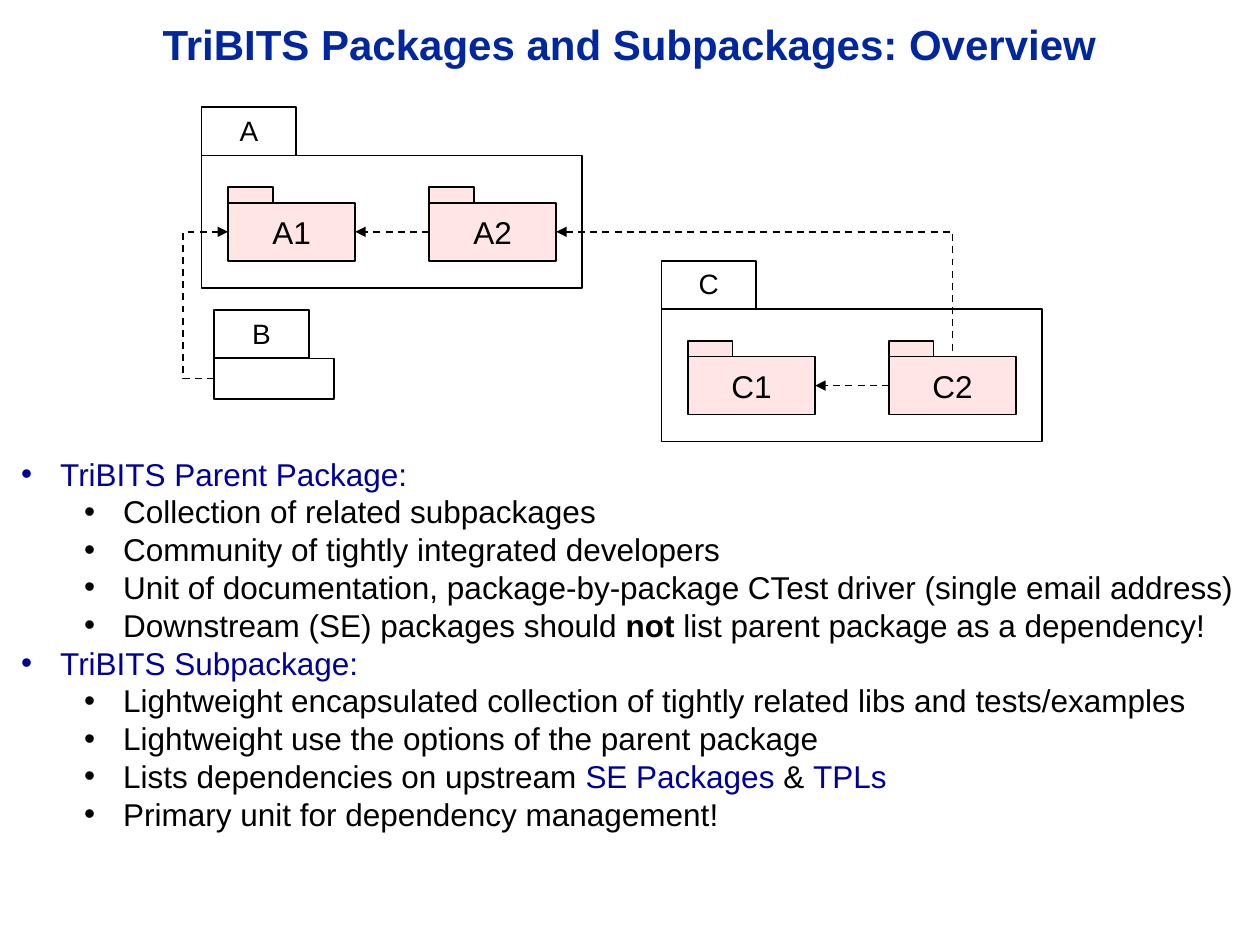
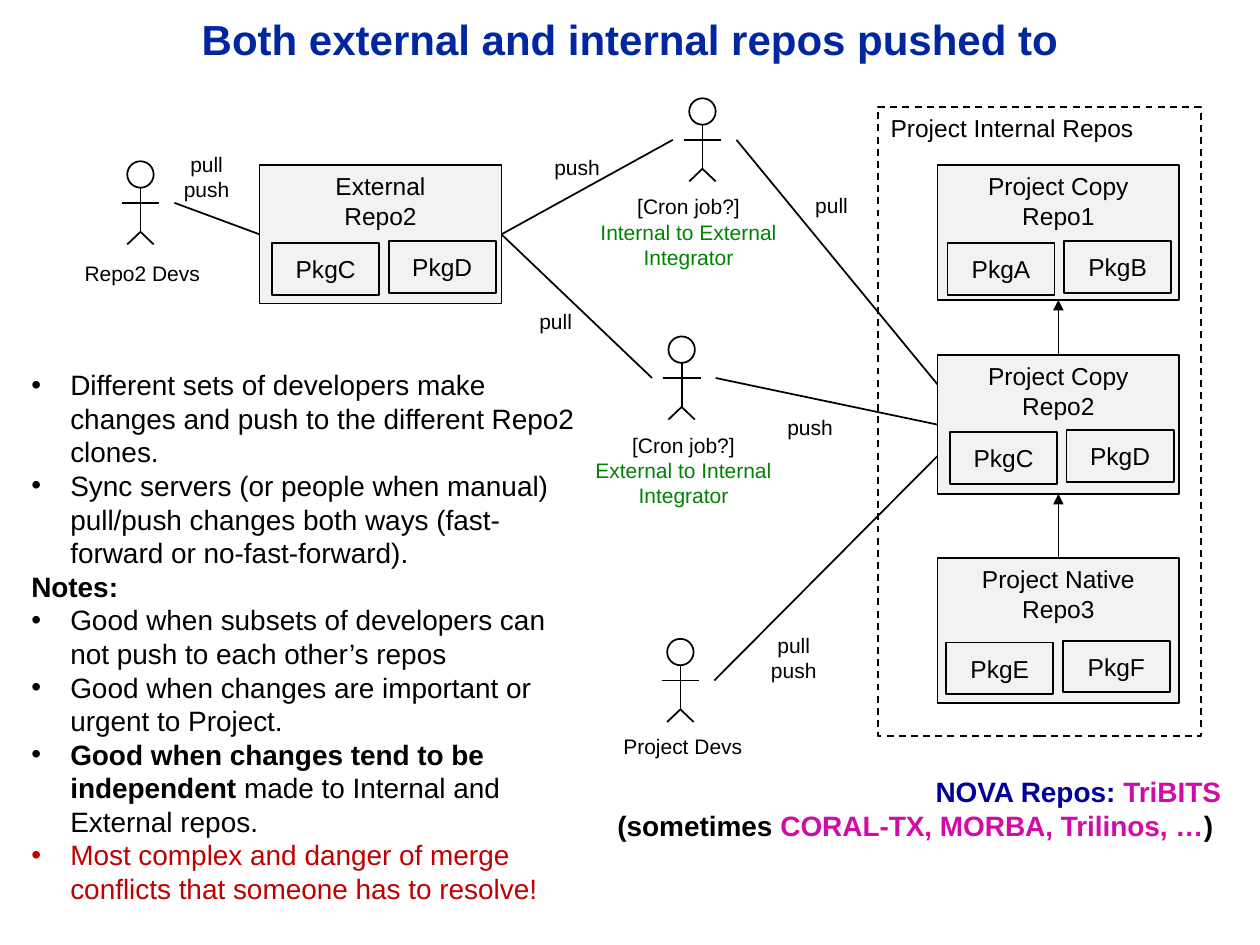
from lxml.etree import SubElement
from pptx import Presentation
from pptx.dml.color import RGBColor
from pptx.enum.dml import MSO_LINE
from pptx.enum.shapes import MSO_CONNECTOR, MSO_SHAPE
from pptx.enum.text import MSO_ANCHOR, MSO_AUTO_SIZE, PP_ALIGN
from pptx.oxml.ns import qn
from pptx.util import Inches, Pt

SLIDE_WIDTH, SLIDE_HEIGHT = Inches(10), Inches(7.5)
COLUMNS, ROWS = 100, 75
FONT = "Arial"
COLORS = {
    "title": "00279F",
    "ink": "000000",
    "term": "000099",
    "role": "008200",
    "warning": "C00000",
    "repo name": "D30AA5",
    "subpackage": "FFE5E5",
    "repo": "F2F2F2",
}
TOP, LEFT, BOTTOM, RIGHT = range(4)
ACTOR_LEFT, ACTOR_RIGHT, ACTOR_ARMS = -2.35, 2.7, 3.3


def across(columns):
    return round(SLIDE_WIDTH * columns / COLUMNS)


def down(rows):
    return round(SLIDE_HEIGHT * rows / ROWS)


def grid_box(left, top, width, height):
    return across(left), down(top), across(width), down(height)


def rgb(name):
    return RGBColor.from_string(COLORS[name])


def write(frame, paragraphs, size, align=PP_ALIGN.CENTER, anchor=MSO_ANCHOR.TOP, wrap=True):
    """Fill a frame; a paragraph is a string or a list of (text, format) spans."""
    settings = {"auto_size": MSO_AUTO_SIZE.NONE, "word_wrap": wrap, "vertical_anchor": anchor}
    for name, value in settings.items():
        setattr(frame, name, value)
    for number, spans in enumerate(paragraphs):
        para = frame.paragraphs[0] if number == 0 else frame.add_paragraph()
        para.alignment = align
        for text, changes in [(spans, {})] if isinstance(spans, str) else spans:
            span = para.add_run()
            span.text = text
            look = {"name": FONT, "size": Pt(size), "bold": False, "color": "ink"} | changes
            span.font.color.rgb = rgb(look.pop("color"))
            for name, value in look.items():
                setattr(span.font, name, value)


def indent(para, margin, hanging=0.31, bullet=True):
    properties = para._p.get_or_add_pPr()
    properties.set("marL", str(Inches(margin)))
    properties.set("indent", str(-Inches(hanging) if bullet else 0))
    if bullet:
        SubElement(properties, qn("a:buFont")).set("typeface", FONT)
        SubElement(properties, qn("a:buChar")).set("char", "•")


def add_text(page, area, paragraphs, size=12, align=PP_ALIGN.CENTER):
    box = page.shapes.add_textbox(*grid_box(*area))
    write(box.text_frame, paragraphs, size, align)
    return box.text_frame


def add_outlined(shapes, area, fill=None, preset=MSO_SHAPE.RECTANGLE, dashed=False):
    shape = shapes.add_shape(preset, *grid_box(*area))
    shape.shadow.inherit = False
    if fill:
        shape.fill.solid()
        shape.fill.fore_color.rgb = rgb(fill)
    else:
        shape.fill.background()
    style_line(shape, dashed)
    return shape


def style_line(shape, dashed=False):
    shape.line.color.rgb = rgb("ink")
    shape.line.width = Pt(1)
    if dashed:
        shape.line.dash_style = MSO_LINE.DASH


def add_line(shapes, start, end, kind=MSO_CONNECTOR.STRAIGHT, dashed=False, arrow=None):
    """Join two ends, each a grid point or a (shape, side) pair; arrow is headEnd or tailEnd."""
    ends = [(0, 0) if hasattr(end_, "__len__") and hasattr(end_[0], "shape_id") else end_
            for end_ in (start, end)]
    (x1, y1), (x2, y2) = ends
    line = shapes.add_connector(kind, across(x1), down(y1), across(x2), down(y2))
    if hasattr(start[0], "shape_id"):
        line.begin_connect(*start)
    if hasattr(end[0], "shape_id"):
        line.end_connect(*end)
    style_line(line, dashed)
    properties = line.element.spPr
    if arrow:
        SubElement(properties.find(qn("a:ln")), qn(f"a:{arrow}")).set("type", "triangle")
    SubElement(properties, qn("a:effectLst"))
    return line


def add_page(deck, title, area):
    page = deck.slides.add_slide(deck.slide_layouts[5])
    heading = page.shapes.title
    heading.left, heading.top, heading.width, heading.height = grid_box(*area)
    write(heading.text_frame, [[(title, {"bold": True, "color": "title"})]], 24,
          anchor=MSO_ANCHOR.MIDDLE)
    return page


def add_package(page, name, left, top, width=30.2, height=10.5):
    body = add_outlined(page.shapes, (left, top + 3.85, width, height))
    tab = add_outlined(page.shapes, (left, top, 7.5, 3.85))
    write(tab.text_frame, [name], 16)
    return body


def add_subpackages(page, names, left, top):
    """Place folders in a row inside a package, each depending on the one before."""
    folders = []
    for number, name in enumerate(names):
        x, y = left + 2.1 + 15.95 * number, top + 7.6
        group = page.shapes.add_group_shape()
        folder = add_outlined(group.shapes, (x, y, 10.1, 4.6), "subpackage")
        write(folder.text_frame, [name], 18, anchor=MSO_ANCHOR.MIDDLE, wrap=False)
        add_outlined(group.shapes, (x, y - 1.25, 3.55, 1.25), "subpackage")
        if folders:
            add_line(page.shapes, (folder, LEFT), (folders[-1], RIGHT),
                     dashed=True, arrow="tailEnd")
        folders.append(folder)
    return folders


def add_repo(page, title, left, top, height, packages, package_offset):
    repo = add_outlined(page.shapes, (left, top, 19.2, height), "repo")
    write(repo.text_frame, title, 14)
    for number, name in enumerate(packages):
        x = left + package_offset[0] + 9.25 * number
        y = top + package_offset[1] - 0.15 * number
        package = add_outlined(page.shapes, (x, y, 8.5, 4.1), "repo")
        write(package.text_frame, [name], 14, anchor=MSO_ANCHOR.MIDDLE)
    return repo


def add_actor(page, center, top):
    """Draw a stick figure and return the points where links leave its left and right."""
    shapes = page.shapes.add_group_shape().shapes
    add_outlined(shapes, (center - 1.05, top, 2.1, 2.1), preset=MSO_SHAPE.OVAL)
    hip, arms = (center, top + 5.6), top + ACTOR_ARMS
    add_line(shapes, (center, top + 2.1), hip)
    add_line(shapes, (center - 1.5, arms), (center + 1.5, arms))
    for side in (-1, 1):
        add_line(shapes, hip, (center + side * 1.05, top + 6.6))
    return (center + ACTOR_LEFT, arms), (center + ACTOR_RIGHT, arms)


def build_overview(deck):
    page = add_page(deck, "TriBITS Packages and Subpackages: Overview", (2.5, 1.4, 94.9, 4.2))
    add_package(page, "A", 16, 8.5)
    a1, a2 = add_subpackages(page, ["A1", "A2"], 16, 8.5)
    b = add_package(page, "B", 17, 24.6, 9.5, 3.2)
    add_package(page, "C", 52.5, 20.7)
    c1, c2 = add_subpackages(page, ["C1", "C2"], 52.5, 20.7)

    b_link = add_line(page.shapes, (b, LEFT), (a1, LEFT), MSO_CONNECTOR.ELBOW, True, "tailEnd")
    geometry = b_link.element.spPr.find(qn("a:prstGeom"))
    guide = SubElement(geometry.find(qn("a:avLst")), qn("a:gd"))
    guide.set("name", "adj1")
    guide.set("fmla", "val -225000")

    c_link = add_line(page.shapes, (a2, RIGHT), (c2, TOP), MSO_CONNECTOR.ELBOW, True, "headEnd")
    c_link.element.spPr.find(qn("a:prstGeom")).set("prst", "bentConnector2")

    term = {"color": "term"}
    outline = [
        (0, [("TriBITS Parent Package:", term)]),
        (1, "Collection of related subpackages"),
        (1, "Community of tightly integrated developers"),
        (1, "Unit of documentation, package-by-package CTest driver (single email address)"),
        (1, [("Downstream (SE) packages should ", {}), ("not", {"bold": True}),
             (" list parent package as a dependency!", {})]),
        (0, [("TriBITS Subpackage:", term)]),
        (1, "Lightweight encapsulated collection of tightly related libs and tests/examples"),
        (1, "Lightweight use the options of the parent package"),
        (1, [("Lists dependencies on upstream ", {}), ("SE Packages ", term),
             ("& ", {}), ("TPLs", term)]),
        (1, "Primary unit for dependency management!"),
    ]
    frame = add_text(page, (0, 35.6, 100, 31.3), [spans for _, spans in outline], 18,
                     PP_ALIGN.LEFT)
    for para, (level, _) in zip(frame.paragraphs, outline):
        para.level = level
        indent(para, 0.38 + 0.5 * level)


def build_repos(deck):
    page = add_page(deck, "Both external and internal repos pushed to", (7.5, 1, 85, 4.2))
    external = add_repo(page, ["External", "Repo2"], 20.6, 13.1, 11, ["PkgC", "PkgD"], (1, 6.2))
    repo1 = add_repo(page, ["Project Copy", "Repo1"], 74.4, 13.1, 10.7, ["PkgA", "PkgB"], (0.8, 6.2))
    repo2 = add_repo(page, ["Project Copy", "Repo2"], 74.4, 28.2, 11, ["PkgC", "PkgD"], (1, 6.1))
    repo3 = add_repo(page, ["Project Native", "Repo3"], 74.4, 44.3, 11.5, ["PkgE", "PkgF"], (0.7, 6.7))
    frame = add_outlined(page.shapes, (69.7, 8.5, 25.6, 49.9), dashed=True)
    write(frame.text_frame, ["Project Internal Repos"], 14, PP_ALIGN.LEFT)
    for user, used in ((repo2, repo1), (repo3, repo2)):
        add_line(page.shapes, (user, TOP), (used, BOTTOM), arrow="tailEnd")

    _, repo2_devs = add_actor(page, 11.15, 12.8)
    outward_left, outward_right = add_actor(page, 55.75, 7.8)
    inward_left, inward_right = add_actor(page, 54.1, 26.7)
    _, project_devs = add_actor(page, 54, 50.7)
    for start, end in (
        (repo2_devs, (external, LEFT)),
        (outward_left, (external, RIGHT)),
        (inward_left, (external, RIGHT)),
        (inward_right, (repo2, LEFT)),
        (outward_right, (74.4, 30.5)),
        (project_devs, (74.4, 36.2)),
    ):
        add_line(page.shapes, start, end)

    for left, top, lines in (
        (4.6, 20.2, ["Repo2 Devs"]),
        (47.5, 57.7, ["Project Devs"]),
        (9.7, 11.5, ["pull", "push"]),
        (37.4, 24, ["pull"]),
        (57.6, 32.4, ["push"]),
        (56.3, 49.7, ["pull", "push"]),
        (39.1, 11.8, ["push"]),
        (59.3, 14.8, ["pull"]),
    ):
        add_text(page, (left, top, 13.4, 1 + 2 * len(lines)), lines)
    for left, top, role in (
        (46.2, 14.9, "Internal to External Integrator"),
        (45.8, 33.8, "External to Internal Integrator"),
    ):
        add_text(page, (left, top, 16.9, 7.1), ["[Cron job?]", [(role, {"color": "role"})]])

    bold = {"bold": True}
    remarks = [
        "Different sets of developers make changes and push to the different Repo2 clones.",
        "Sync servers (or people when manual) pull/push changes both ways "
        "(fast-forward or no-fast-forward).",
        [("Notes:", bold)],
        "Good when subsets of developers can not push to each other’s repos",
        "Good when changes are important or urgent to Project.",
        [("Good when changes tend to be independent", bold),
         (" made to Internal and External repos.", {})],
        [("Most complex and danger of merge conflicts that someone has to resolve!",
          {"color": "warning"})],
    ]
    text = add_text(page, (-0.4, 28.7, 47, 44.1), remarks, 16, PP_ALIGN.LEFT)
    for para in text.paragraphs:
        is_heading = para.text == "Notes:"
        indent(para, 0.19 if is_heading else 0.5, bullet=not is_heading)

    repo_name = bold | {"color": "repo name"}
    add_text(page, (46.6, 61, 51.3, 6.4), [
        [("NOVA Repos: ", bold | {"color": "term"}), ("TriBITS", repo_name)],
        [("(sometimes", bold), (" CORAL-TX, MORBA, Trilinos, …", repo_name), (") ", bold)],
    ], 16, PP_ALIGN.RIGHT)


def main():
    deck = Presentation()
    deck.slide_width, deck.slide_height = SLIDE_WIDTH, SLIDE_HEIGHT
    build_overview(deck)
    build_repos(deck)
    deck.save("out.pptx")


if __name__ == "__main__":
    main()
